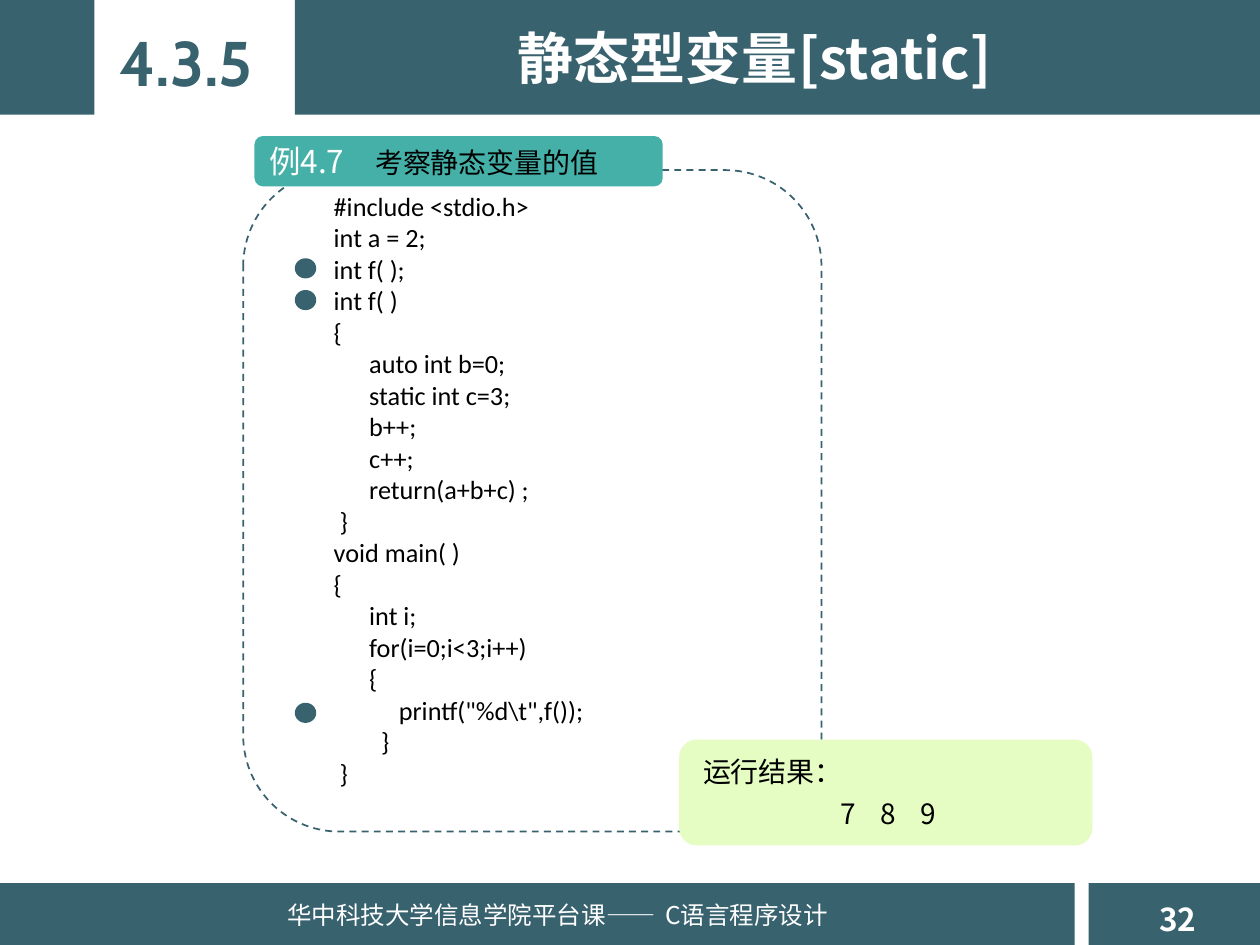
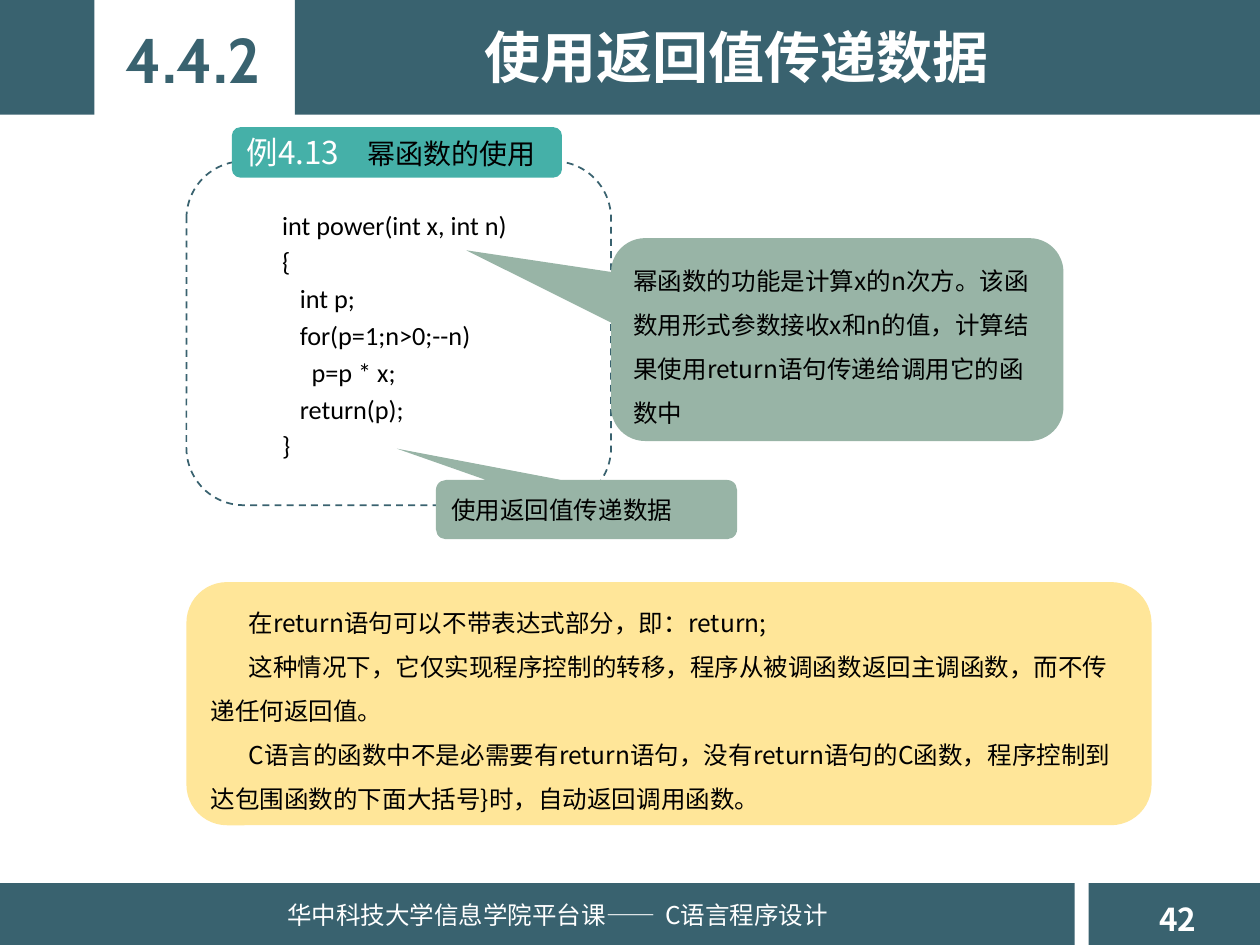
from dataclasses import dataclass
from typing import NamedTuple

from lxml.etree import SubElement
from pptx import Presentation
from pptx.dml.color import RGBColor
from pptx.enum.dml import MSO_LINE
from pptx.enum.shapes import MSO_SHAPE
from pptx.enum.text import MSO_ANCHOR, MSO_AUTO_SIZE, PP_ALIGN
from pptx.oxml.ns import qn
from pptx.util import Inches, Pt

WIDE, HIGH = Inches(10), Inches(7.5)
COL, ROW = WIDE / 100, HIGH / 75

TEAL = RGBColor(0x39, 0x62, 0x6F)
MINT = RGBColor(0x45, 0xB0, 0xA8)
LIME = RGBColor(0xE5, 0xFC, 0xC2)
SAGE = RGBColor(0x98, 0xB4, 0xA6)
SAND = RGBColor(0xFF, 0xE6, 0x99)
WHITE = RGBColor(0xFF, 0xFF, 0xFF)
BLACK = RGBColor(0, 0, 0)

NOTO = "Noto Sans CJK SC"
CODE_LINE = 2.52


class Box(NamedTuple):
    """Left, top, width and height in grid columns and rows."""
    left: float
    top: float
    wide: float
    high: float

    def place(self) -> list[int]:
        return [round(n * unit) for n, unit in zip(self, (COL, ROW, COL, ROW))]


class Style(NamedTuple):
    size: int
    color: RGBColor = BLACK
    face: str = NOTO
    bold: bool = False


NUMBER = Style(36, TEAL, "Cabin", True)
TITLE = Style(32, WHITE, bold=True)
PAGE = Style(18, WHITE, bold=True)
FOOT = Style(14, WHITE)
LABEL = Style(18, WHITE)
TOPIC = Style(16)
NOTE = Style(14)
CODE = Style(15, face="Calibri")


@dataclass
class Para:
    """Runs of (text, style); indent and tab stops are in columns."""
    runs: list[tuple[str, Style]]
    align: PP_ALIGN = PP_ALIGN.LEFT
    space: float = 1.0
    before: float = 0
    indent: float = 0
    tabs: tuple[float, ...] = ()


@dataclass
class Card:
    box: Box
    fill: RGBColor
    paras: list[Para]
    tip: tuple[float, float] | None = None


@dataclass
class Head:
    number: str
    spot: Box
    title: str
    area: Box
    page: str


@dataclass
class Demo:
    """A dashed frame with its label and the code inside."""
    frame: Box
    label: Box
    name: str
    topic: str
    tab: float
    code: str
    area: Box
    before: float = 0


BANDS = [Box(0, 0, 7.5, 9.1), Box(23.4, 0, 76.6, 9.1),
         Box(0, 70.1, 85.3, 4.9), Box(86.4, 70.1, 13.6, 4.9)]

STATIC = r'''#include <stdio.h>
int a = 2;
int f( );
int f( )
{
      auto int b=0;
      static int c=3;
      b++;
      c++;
      return(a+b+c) ;
 }
void main( )
{
      int i;
      for(i=0;i<3;i++)
      {
           printf("%d\t",f());
        }
 }'''

POWER = '''int power(int x, int n)
{
   int p;
   for(p=1;n>0;--n)
     p=p * x;
   return(p);
}'''

RULES = [
    "在return语句可以不带表达式部分，即：return;",
    "这种情况下，它仅实现程序控制的转移，程序从被调函数返回主调函数，而不传递任何返回值。",
    "C语言的函数中不是必需要有return语句，没有return语句的C函数，"
    "程序控制到达包围函数的下面大括号}时，自动返回调用函数。",
]


def write(frame, paras: list[Para]) -> None:
    for i, para in enumerate(paras):
        line = frame.paragraphs[0] if i == 0 else frame.add_paragraph()
        form = {"alignment": para.align, "line_spacing": para.space}
        if i and para.before:
            form["space_before"] = Pt(para.before)
        for name, value in form.items():
            setattr(line, name, value)
        props = line._p.get_or_add_pPr()
        if para.indent:
            props.set("indent", str(round(para.indent * COL)))
        if para.tabs:
            stops = SubElement(props, qn("a:tabLst"))
            for stop in para.tabs:
                SubElement(stops, qn("a:tab"), pos=str(round(stop * COL)), algn="l")
        for text, style in para.runs:
            run = line.add_run()
            run.text = text
            form = {"size": Pt(style.size), "bold": style.bold, "name": style.face}
            for name, value in form.items():
                setattr(run.font, name, value)
            run.font.color.rgb = style.color
            SubElement(run._r.get_or_add_rPr(), qn("a:ea"), typeface=style.face)


def text(slide, box: Box, paras: list[Para], wrap: bool = True) -> None:
    frame = slide.shapes.add_textbox(*box.place()).text_frame
    form = {"word_wrap": wrap, "auto_size": MSO_AUTO_SIZE.SHAPE_TO_FIT_TEXT}
    for name, value in form.items():
        setattr(frame, name, value)
    write(frame, paras)


def shape(slide, kind: MSO_SHAPE, box: Box, fill: RGBColor | None = None):
    """Add a flat shape; without a fill it gets a dashed outline."""
    item = slide.shapes.add_shape(kind, *box.place())
    item.shadow.inherit = False
    if fill is None:
        item.fill.background()
        item.line.color.rgb = TEAL
        item.line.width = Pt(1)
        item.line.dash_style = MSO_LINE.DASH
    else:
        item.fill.solid()
        item.fill.fore_color.rgb = fill
        item.line.fill.background()
    return item


def card(slide, data: Card) -> None:
    kind = MSO_SHAPE.ROUNDED_RECTANGULAR_CALLOUT if data.tip else MSO_SHAPE.ROUNDED_RECTANGLE
    item = shape(slide, kind, data.box, data.fill)
    for i, value in enumerate(data.tip or ()):
        item.adjustments[i] = value
    item.text_frame.word_wrap = True
    item.text_frame.vertical_anchor = MSO_ANCHOR.MIDDLE
    write(item.text_frame, data.paras)


def start(deck, head: Head):
    """Add a slide with its bands, heading and footer."""
    slide = deck.slides.add_slide(deck.slide_layouts[6])
    for band in BANDS:
        shape(slide, MSO_SHAPE.RECTANGLE, band, TEAL)
    mid = PP_ALIGN.CENTER
    text(slide, Box(91, 70.9, 5.5, 4), [Para([(head.page, PAGE)])], False)
    text(slide, Box(21.8, 70.9, 45.4, 3.4),
         [Para([("华中科技大学信息学院平台课——\tC语言程序设计", FOOT)])], False)
    text(slide, head.spot, [Para([(head.number, NUMBER)], mid)], False)
    text(slide, head.area, [Para([(head.title, TITLE)], mid)])
    return slide


def show(slide, demo: Demo) -> None:
    shape(slide, MSO_SHAPE.ROUNDED_RECTANGLE, demo.frame)
    runs = [(demo.name + "\t", LABEL), (demo.topic, TOPIC)]
    card(slide, Card(demo.label, MINT, [Para(runs, tabs=(demo.tab,))]))
    text(slide, demo.area, [Para([(line, CODE)], before=demo.before)
                            for line in demo.code.split("\n")])


def first(deck) -> None:
    slide = start(deck, Head("4.3.5", Box(8, 1.4, 13.5, 7.1),
                             "静态型变量[static]", Box(33.1, 1.4, 53.6, 6.4), "32"))
    show(slide, Demo(Box(19.3, 13.5, 45.9, 52.5), Box(20.2, 10.8, 32.4, 4),
                     "例4.7", "考察静态变量的值", 8.4,
                     STATIC, Box(25.5, 14.6, 27.1, 49)))
    card(slide, Card(Box(53.9, 58.7, 32.8, 8.4), LIME, [
        Para([("运行结果：", TOPIC)], indent=0.5),
        Para([("\t7\t8\t9", TOPIC)], space=1.1, before=3.2, tabs=(11.4, 14.6, 17.8))]))
    for line in (3, 4, 17):
        shape(slide, MSO_SHAPE.OVAL,
              Box(23.4, 20.5 + (line - 3) * CODE_LINE, 1.7, 1.6), TEAL)


def second(deck) -> None:
    title = "使用返回值传递数据"
    slide = start(deck, Head("4.4.2", Box(8.6, 1.1, 13.5, 7.1),
                             title, Box(21.4, 1.3, 74.1, 6.4), "42"))
    show(slide, Demo(Box(14.8, 12.8, 33.7, 27.3), Box(18.4, 10.1, 26.2, 4),
                     "例4.13", "幂函数的使用", 9.6,
                     POWER, Box(21.4, 16.1, 22.1, 21.7), 3))
    about = ("幂函数的功能是计算x的n次方。该函数用形式参数接收x和n的值，"
             "计算结果使用return语句传递给调用它的函数中")
    for data in (
        Card(Box(48.5, 18.9, 35.9, 16.1), SAGE,
             [Para([(about, NOTE)], space=1.5)], (-0.82, -0.44)),
        Card(Box(34.6, 38.1, 23.9, 4.7), SAGE, [Para([(title, NOTE)])], (-0.63, -1.03)),
        Card(Box(14.8, 46.2, 76.6, 19.3), SAND,
             [Para([(rule, NOTE)], space=1.5, indent=3) for rule in RULES]),
    ):
        card(slide, data)


def main() -> None:
    deck = Presentation()
    deck.slide_width, deck.slide_height = WIDE, HIGH
    first(deck)
    second(deck)
    deck.save("out.pptx")


if __name__ == "__main__":
    main()
